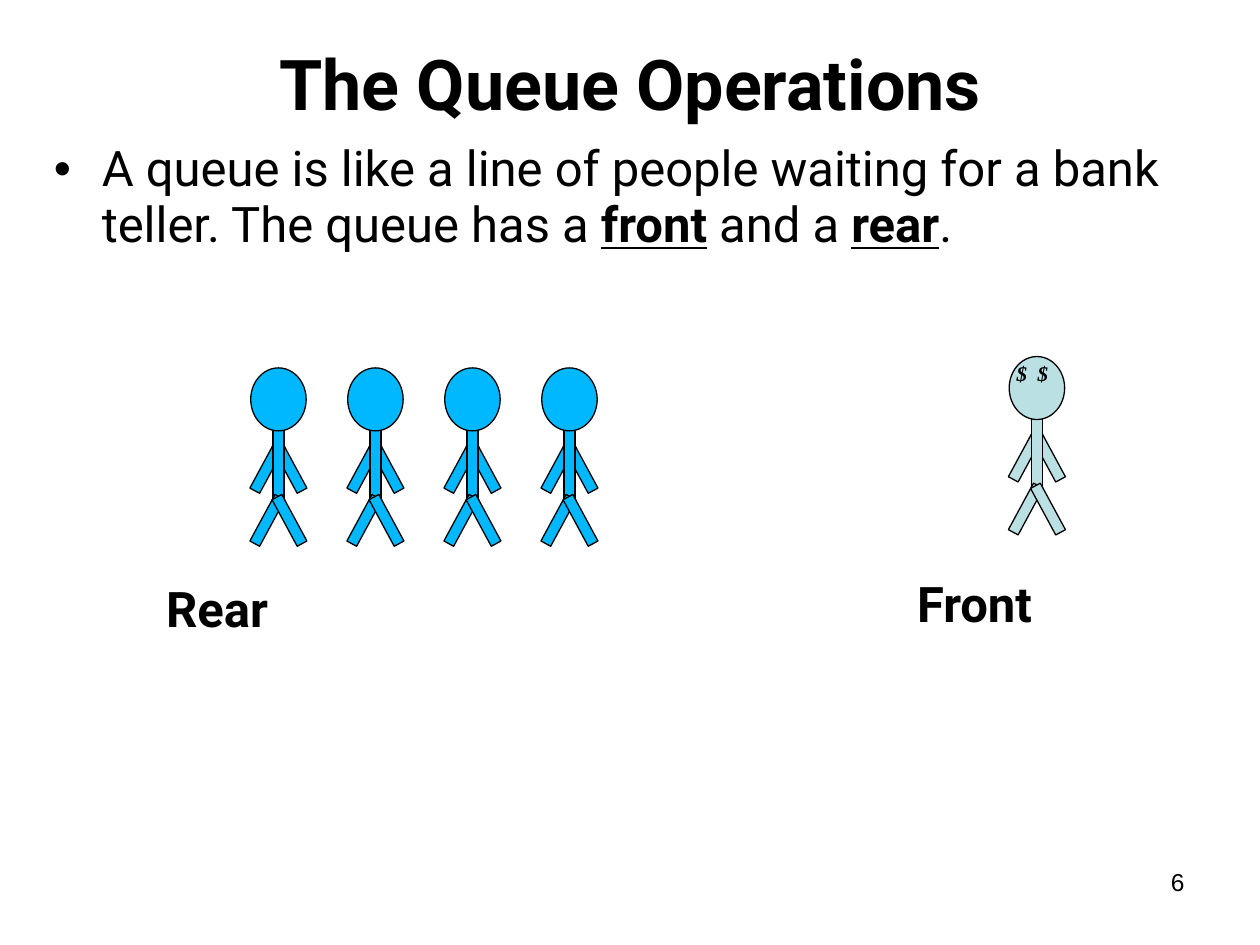
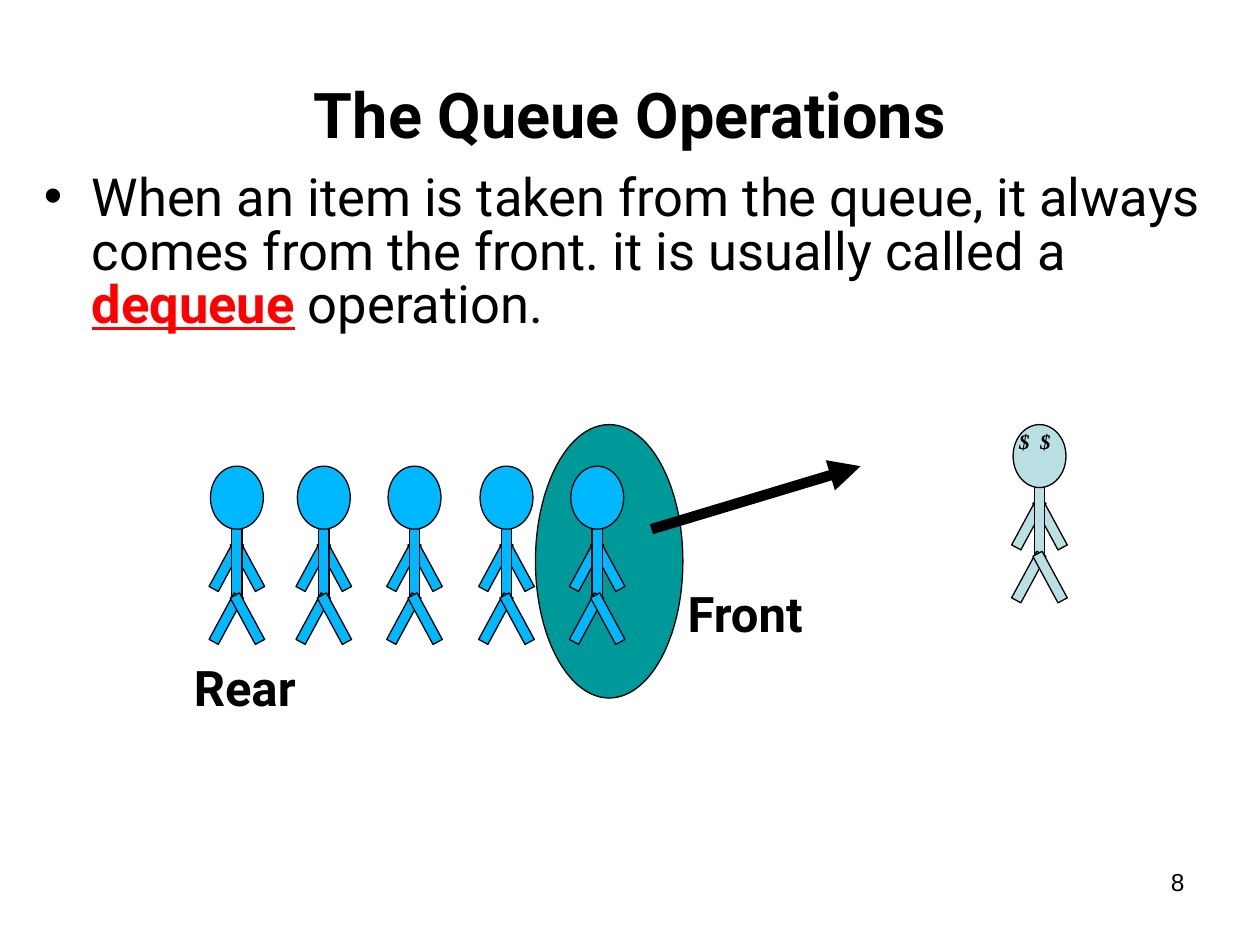
import pptx
import pptx.dml.color
import pptx.enum.shapes
import pptx.enum.text
import pptx.oxml
import pptx.oxml.ns
import pptx.util
from lxml import etree

Inches = pptx.util.Inches
Pt = pptx.util.Pt
RGBColor = pptx.dml.color.RGBColor
SHAPE = pptx.enum.shapes.MSO_SHAPE
ALIGN = pptx.enum.text.PP_ALIGN
ANCHOR = pptx.enum.text.MSO_ANCHOR
qn = pptx.oxml.ns.qn

BLACK = RGBColor(0x00, 0x00, 0x00)
RED = RGBColor(0xFF, 0x00, 0x00)
CUSTOMER_BLUE = RGBColor(0x00, 0xB8, 0xFF)
TELLER_BLUE = RGBColor(0xBB, 0xE0, 0xE3)
HIGHLIGHT_TEAL = RGBColor(0x00, 0x99, 0x99)
FONT = "Roboto"

SLIDES = [
    {
        "number": "6",
        "title": ((0.5, 0.3, 9, 0.78), 40),
        "body": ((0.33, 1.08, 9.33, 1.17), 28, 0.95),
        # Each run is its text and, for a key term, the colour of the term
        "sentence": [
            ("A queue is like a line of people waiting for a bank teller. The queue has a ", None),
            ("front", BLACK), (" and a ", None), ("rear", BLACK), (".", None),
        ],
        "head_width": 0.44,
        "customers": ([2.21 + 0.77 * place for place in range(4)], 2.92),
        "teller": (8.23, 2.83),
        "labels": {"Front": (7.18, 4.54, 1.25, 0.54), "Rear": (1.22, 4.58, 1.1, 0.54)},
        "dequeue": False,
    },
    {
        "number": "8",
        "title": ((0.5, 0.3, 9, 1.25), 36),
        "body": ((0.25, 1.33, 9.67, 1.5), 30, 0.85),
        "sentence": [
            ("When an item is taken from the queue, it always comes from the front. "
             "it is usually called a ", None),
            ("dequeue", RED), (" operation.", None),
        ],
        "head_width": 0.42,
        "customers": ([1.88, 2.57, 3.29, 4.02, 4.74], 3.7),
        "teller": (8.25, 3.37),
        "labels": {"Front": (5.36, 4.62, 1.25, 0.54), "Rear": (1.44, 5.2, 1.1, 0.54)},
        "dequeue": True,
    },
]


def add_text(slide, box, text, size, font=FONT, bold=False, spacing=0.95):
    """Add a one-paragraph text box and return its text frame."""
    frame = slide.shapes.add_textbox(*map(Inches, box)).text_frame
    frame.word_wrap = True
    frame.text = text
    paragraph = frame.paragraphs[0]
    paragraph.line_spacing = spacing
    for run in paragraph.runs:
        run.font.size = Pt(size)
        run.font.name = font
        run.font.bold = bold
        run.font.color.rgb = BLACK
    return frame


def add_outlined(shapes, kind, box, fill, rotation=0):
    shape = shapes.add_shape(kind, *map(Inches, box))
    shape.shadow.inherit = False
    shape.rotation = rotation
    shape.fill.solid()
    shape.fill.fore_color.rgb = fill
    shape.line.color.rgb = BLACK
    shape.line.width = Pt(0.75)


prs = pptx.Presentation()
prs.slide_width = Inches(10)
prs.slide_height = Inches(7.5)

for content in SLIDES:
    slide = prs.slides.add_slide(prs.slide_layouts[6])

    number = add_text(slide, (7.17, 6.83, 2.33, 0.52), content["number"], 14, "Arial", spacing=1.0)
    number.paragraphs[0].alignment = ALIGN.RIGHT

    title_box, title_size = content["title"]
    title = add_text(slide, title_box, "The Queue Operations", title_size, bold=True)
    title.vertical_anchor = ANCHOR.MIDDLE
    title.paragraphs[0].alignment = ALIGN.CENTER

    body_box, body_size, body_spacing = content["body"]
    sentence = add_text(slide, body_box, "", body_size, spacing=body_spacing).paragraphs[0]
    properties = sentence._p.get_or_add_pPr()
    properties.set("marL", str(Inches(0.38)))
    properties.set("indent", str(-Inches(0.38)))
    etree.SubElement(properties, qn("a:buFont")).set("typeface", "Arial")
    etree.SubElement(properties, qn("a:buChar")).set("char", "•")
    for words, term_color in content["sentence"]:
        run = sentence.add_run()
        run.text = words
        run.font.size = Pt(body_size)
        run.font.name = FONT
        run.font.color.rgb = term_color or BLACK
        if term_color is not None:
            run.font.bold = True
            run.font.underline = True

    if content["dequeue"]:
        add_outlined(slide.shapes, SHAPE.OVAL, (4.25, 3.37, 1.17, 2.17), HIGHLIGHT_TEAL)

    # People: arms, trunk, head and legs around a centre line
    head = content["head_width"]
    limb = head / 5
    centers, queue_top = content["customers"]
    teller_center, teller_top = content["teller"]
    people = [(center, queue_top, CUSTOMER_BLUE) for center in centers]
    people.append((teller_center, teller_top, TELLER_BLUE))
    for center, top, color in people:
        person = slide.shapes.add_group_shape().shapes
        trunk_left = center - limb / 2
        for limb_top in (top + 0.58, top + 1):
            for side in (-1, 1):
                add_outlined(person, SHAPE.RECTANGLE,
                             (trunk_left + side * limb, limb_top, limb, 0.42),
                             color, -side * 28.4)
            if limb_top < top + 1:
                add_outlined(person, SHAPE.RECTANGLE, (trunk_left, top + 0.41, limb, 0.67), color)
                add_outlined(person, SHAPE.OVAL, (center - head / 2, top, head, 0.5), color)

    eyes = add_text(slide, (teller_center - 0.26, teller_top, 0.53, 0.5), "$ $", 12,
                    "Times New Roman", bold=True).paragraphs[0].runs[0]
    eyes.font.italic = True
    eyes.font._element.set("spc", "150")

    for label, label_box in content["labels"].items():
        add_text(slide, label_box, label, 28, bold=True).word_wrap = False

    if content["dequeue"]:
        leaving = slide.shapes.add_connector(
            pptx.enum.shapes.MSO_CONNECTOR.STRAIGHT,
            Inches(5.17), Inches(4.2), Inches(6.83), Inches(3.7))
        leaving.line.color.rgb = BLACK
        leaving.line.width = Pt(6)
        etree.SubElement(leaving.line._get_or_add_ln(), qn("a:tailEnd")).set("type", "triangle")
        etree.SubElement(leaving._element.spPr, qn("a:effectLst"))

prs.save("out.pptx")
